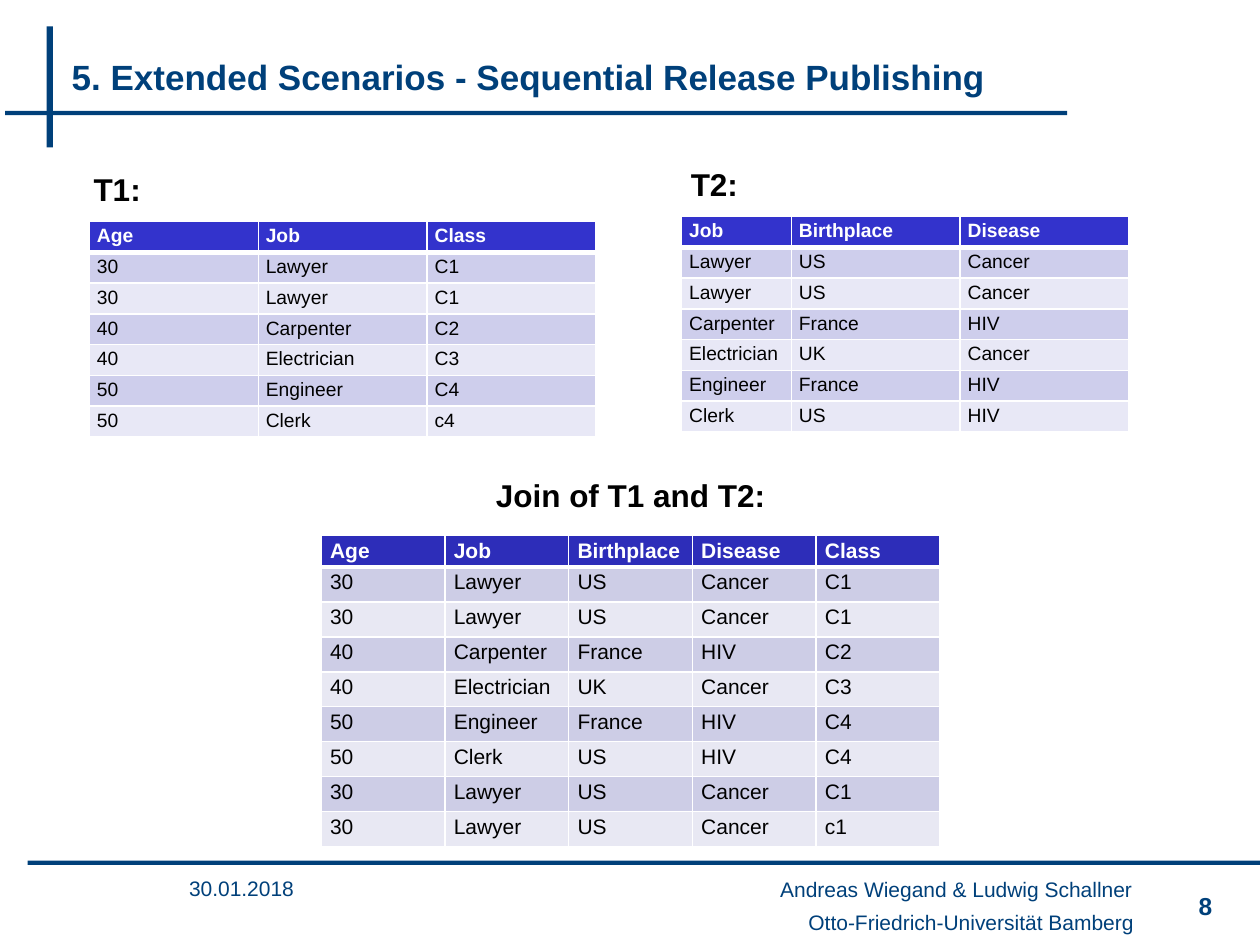
from dataclasses import dataclass

from lxml.etree import SubElement
from pptx import Presentation
from pptx.dml.color import RGBColor
from pptx.enum.shapes import MSO_SHAPE as Shape
from pptx.enum.text import MSO_ANCHOR as Anchor, PP_ALIGN as Align
from pptx.oxml.ns import qn
from pptx.util import Inches, Pt

# The slide is a grid of 100 columns by 75 rows, each unit a tenth of an inch
COLUMNS, ROWS = 100, 75
FONT = "Arial"
NAVY, BLACK, WHITE = "00407A", "000000", "FFFFFF"
PLAIN_INSETS = (1, 0.5, 1, 0.5)
FOOTER_INSETS = (0.4, 0.5, 0.2, 0.5)


@dataclass(frozen=True)
class Box:
    col: float
    row: float
    cols: float
    rows: float

    def lengths(self):
        return [grid(n) for n in (self.col, self.row, self.cols, self.rows)]


@dataclass(frozen=True)
class Label:
    text: str
    box: Box
    size: int
    color: str = NAVY
    bold: bool = False
    align: Align = Align.LEFT
    anchor: Anchor = Anchor.MIDDLE
    insets: tuple = PLAIN_INSETS


@dataclass(frozen=True)
class Release:
    box: Box
    col_shares: tuple
    header_rows: float
    size: int
    side_inset: float
    header_fill: str
    bands: tuple
    records: tuple


def grid(units: float) -> int:
    return Inches(units / 10)


def rgb(color: str) -> RGBColor:
    return RGBColor.from_string(color)


def add_run(paragraph, text: str, size: int, color: str, bold: bool) -> None:
    run = paragraph.add_run()
    run.text = text
    run.font.name, run.font.size, run.font.bold = FONT, Pt(size), bold
    run.font.color.rgb = rgb(color)


def draw_rule(slide, box: Box) -> None:
    rule = slide.shapes.add_shape(Shape.RECTANGLE, *box.lengths())
    rule.shadow.inherit = False
    rule.fill.solid()
    rule.fill.fore_color.rgb = rgb(NAVY)
    rule.line.fill.background()


def draw_label(slide, label: Label) -> None:
    frame = slide.shapes.add_textbox(*label.box.lengths()).text_frame
    frame.word_wrap = True
    frame.vertical_anchor = label.anchor
    (frame.margin_left, frame.margin_top,
     frame.margin_right, frame.margin_bottom) = map(grid, label.insets)
    paragraph = frame.paragraphs[0]
    paragraph.alignment = label.align
    add_run(paragraph, label.text, label.size, label.color, label.bold)


def add_border(cell, side: str, points: int) -> None:
    line = SubElement(cell._tc.get_or_add_tcPr(), qn(f"a:ln{side}"), w=str(Pt(points)))
    fill = SubElement(line, qn("a:solidFill"))
    SubElement(fill, qn("a:srgbClr"), val=WHITE)


def draw_release(slide, release: Release) -> None:
    count = len(release.records)
    table = slide.shapes.add_table(
        count, len(release.col_shares), *release.box.lengths()).table
    for column, share in zip(table.columns, release.col_shares):
        column.width = grid(release.box.cols * share / sum(release.col_shares))
    body_rows = (release.box.rows - release.header_rows) / (count - 1)
    for r, record in enumerate(release.records):
        header = r == 0
        table.rows[r].height = grid(release.header_rows if header else body_rows)
        for c, value in enumerate(record):
            cell = table.cell(r, c)
            cell.margin_left = cell.margin_right = grid(release.side_inset)
            cell.margin_top = cell.margin_bottom = grid(0.3)
            # The edge between header and body is the thick one
            for side, thick in (("L", False), ("R", False), ("T", r == 1), ("B", header)):
                add_border(cell, side, 3 if thick else 1)
            cell.fill.solid()
            cell.fill.fore_color.rgb = rgb(
                release.header_fill if header else release.bands[(r - 1) % 2])
            paragraph = cell.text_frame.paragraphs[0]
            paragraph.alignment = Align.LEFT
            add_run(paragraph, value, release.size, WHITE if header else BLACK, header)


def heading(text: str, box: Box) -> Label:
    return Label(text, box, 18, BLACK, True, Align.CENTER, Anchor.TOP)


def footer(text: str, box: Box, align: Align) -> Label:
    return Label(text, box, 12, align=align, insets=FOOTER_INSETS)


RULES = (Box(3.7, 2.1, 0.5, 9.6), Box(0.4, 8.8, 84.3, 0.35), Box(2.2, 68.3, 97.8, 0.35))

LABELS = (
    Label("5. Extended Scenarios - Sequential Release Publishing",
          Box(4.7, 2.9, 86.2, 6.3), 20, bold=True),
    heading("T1:", Box(4.2, 13, 10.2, 4)),
    heading("T2:", Box(51.6, 12.6, 10.2, 4)),
    heading("Join of T1 and T2:", Box(34, 37.3, 32.1, 4)),
    footer("30.01.2018", Box(14.6, 67.9, 14.2, 5.2), Align.LEFT),
    footer("Andreas Wiegand & Ludwig Schallner", Box(30.1, 69, 60, 3.2), Align.RIGHT),
    footer("Otto-Friedrich-Universität Bamberg", Box(21.7, 71.4, 68.5, 3.6), Align.RIGHT),
    Label("8", Box(92, 70.1, 5.2, 3.6), 14, bold=True, align=Align.RIGHT),
)

SOURCE_STYLE = dict(header_rows=2.44, size=11, side_inset=0.6,
                    header_fill="3333CC", bands=("CECEEC", "E8E8F6"))

RELEASES = (
    Release(Box(7.1, 17.6, 40.2, 17.1), (1, 1, 1), **SOURCE_STYLE, records=(
        ("Age", "Job", "Class"),
        ("30", "Lawyer", "C1"),
        ("30", "Lawyer", "C1"),
        ("40", "Carpenter", "C2"),
        ("40", "Electrician", "C3"),
        ("50", "Engineer", "C4"),
        ("50", "Clerk", "c4"),
    )),
    Release(Box(54.1, 17.2, 35.5, 17.1), (0.65, 1, 1), **SOURCE_STYLE, records=(
        ("Job", "Birthplace", "Disease"),
        ("Lawyer", "US", "Cancer"),
        ("Lawyer", "US", "Cancer"),
        ("Carpenter", "France", "HIV"),
        ("Electrician", "UK", "Cancer"),
        ("Engineer", "France", "HIV"),
        ("Clerk", "US", "HIV"),
    )),
    Release(Box(25.5, 42.5, 49.1, 24.7), (1,) * 5, header_rows=2.5, size=12,
            side_inset=0.7, header_fill="2D2DB9", bands=("CDCDE6", "E8E8F3"), records=(
        ("Age", "Job", "Birthplace", "Disease", "Class"),
        ("30", "Lawyer", "US", "Cancer", "C1"),
        ("30", "Lawyer", "US", "Cancer", "C1"),
        ("40", "Carpenter", "France", "HIV", "C2"),
        ("40", "Electrician", "UK", "Cancer", "C3"),
        ("50", "Engineer", "France", "HIV", "C4"),
        ("50", "Clerk", "US", "HIV", "C4"),
        ("30", "Lawyer", "US", "Cancer", "C1"),
        ("30", "Lawyer", "US", "Cancer", "c1"),
    )),
)


def main() -> None:
    deck = Presentation()
    deck.slide_width, deck.slide_height = grid(COLUMNS), grid(ROWS)
    slide = deck.slides.add_slide(deck.slide_layouts[6])
    for rule in RULES:
        draw_rule(slide, rule)
    for release in RELEASES:
        draw_release(slide, release)
    for label in LABELS:
        draw_label(slide, label)
    deck.save("out.pptx")


if __name__ == "__main__":
    main()
